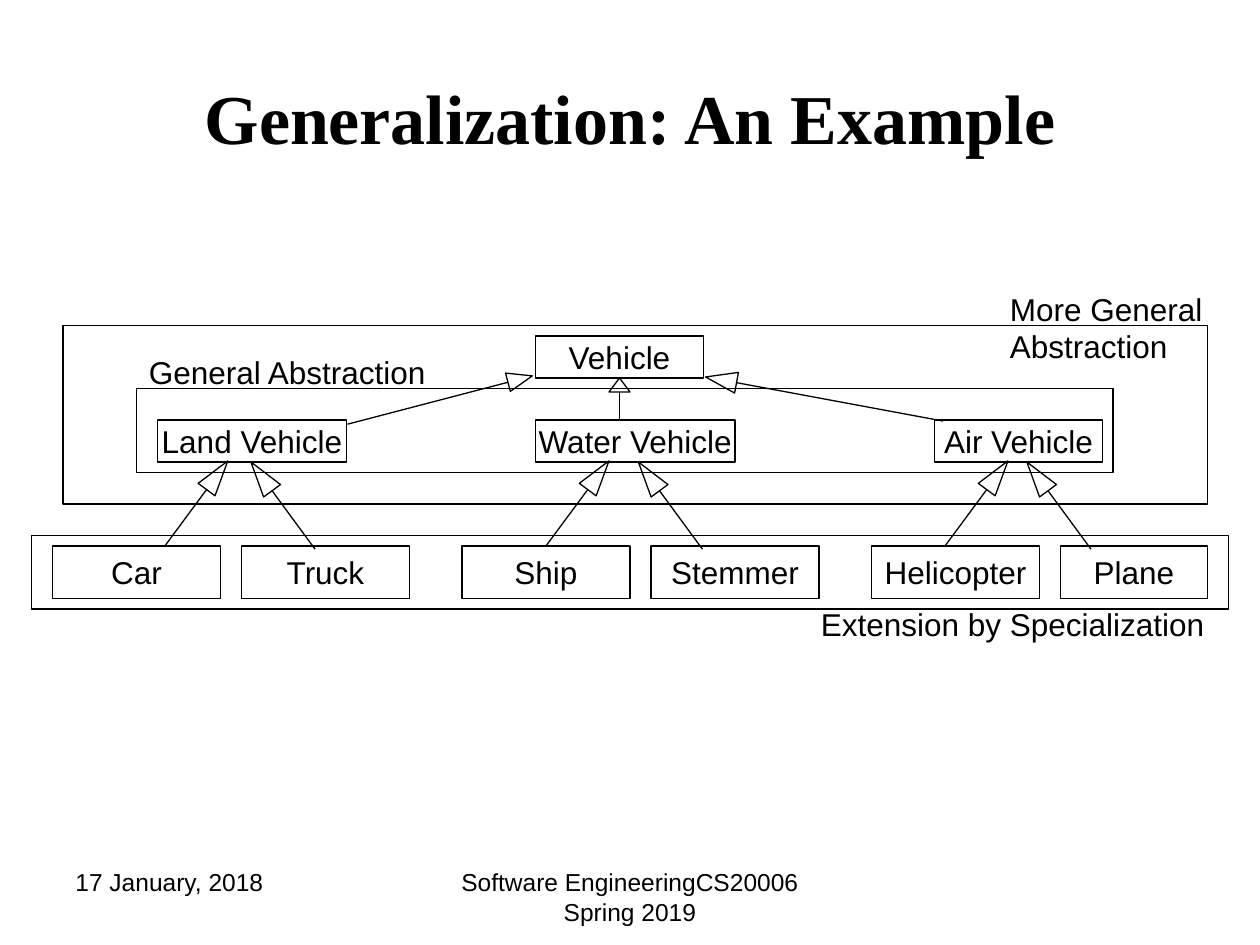
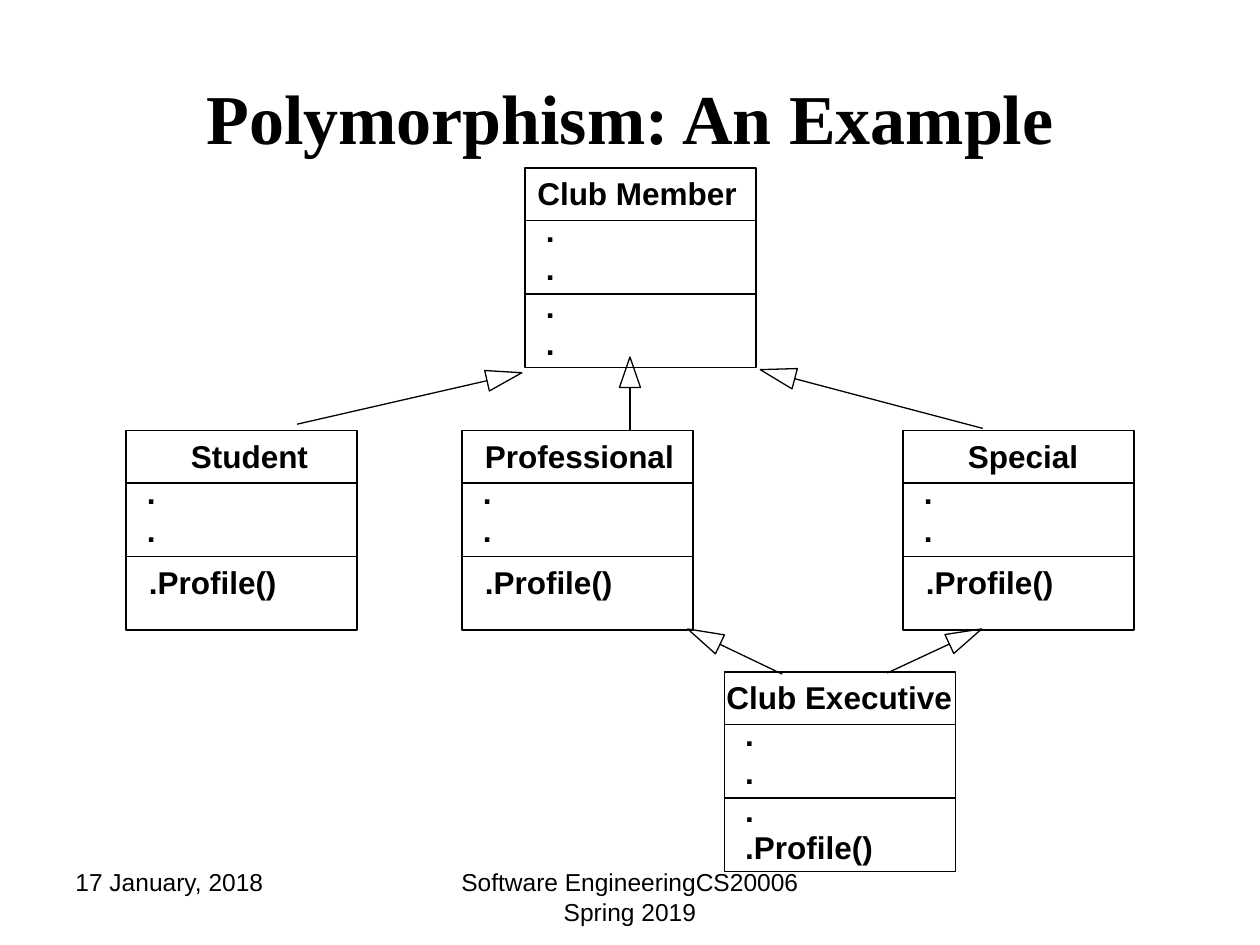
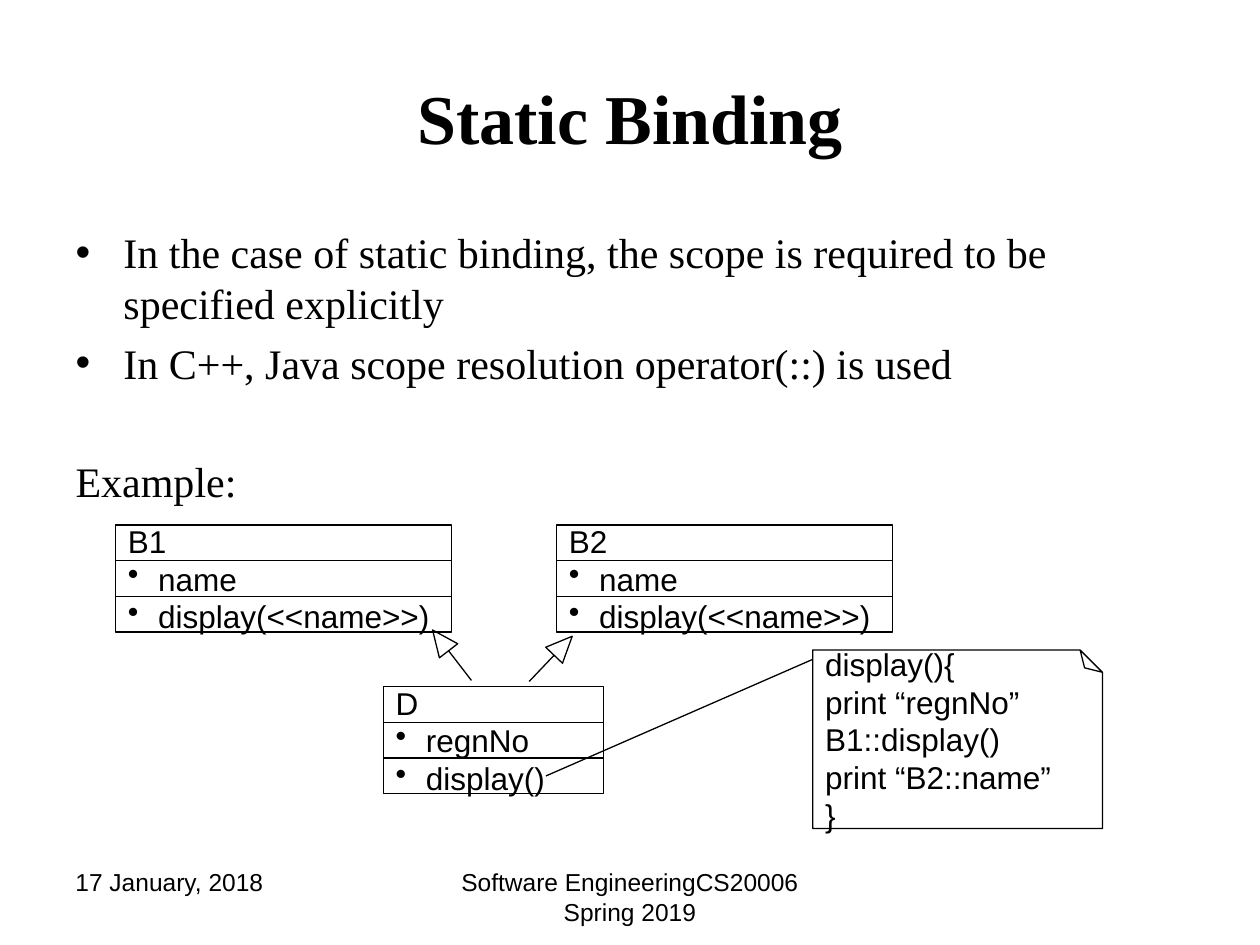
import math

from lxml import etree
from pptx import Presentation
from pptx import util as u
from pptx.dml.color import RGBColor
from pptx.enum import shapes, text
from pptx.oxml.ns import qn

COLUMNS, ROWS = 120, 90
CELL = u.Inches(10) / COLUMNS
COLORS = {"ink": "000000", "paper": "FFFFFF"}
STYLES = {
    "title": {"name": "Times New Roman", "size": u.Pt(40), "bold": True},
    "body": {"name": "Times New Roman", "size": u.Pt(24), "bold": False},
    "label": {"name": "Arial", "size": u.Pt(18), "bold": False},
    "class": {"name": "Arial", "size": u.Pt(18), "bold": True},
    "footer": {"name": "Arial", "size": u.Pt(14), "bold": False},
}
FOOTERS = [
    ("17 January, 2018", (6, 82, 28, 6.2), text.PP_ALIGN.LEFT),
    ("Software EngineeringCS20006 Spring 2019", (41, 82, 38, 6.2), text.PP_ALIGN.CENTER),
]
BULLET_INDENT = 0.24


def cells(*lengths):
    """Convert grid cells to slide lengths."""
    return [u.Emu(round(length * CELL)) for length in lengths]


def ink():
    """Return the colour of lines and text."""
    return RGBColor.from_string(COLORS["ink"])


def write(frame, lines, style, align=text.PP_ALIGN.LEFT, wrap=True, anchor=text.MSO_ANCHOR.TOP):
    """Write one paragraph per line in a named style."""
    settings = {"auto_size": text.MSO_AUTO_SIZE.NONE, "word_wrap": wrap, "vertical_anchor": anchor}
    for key, value in settings.items():
        setattr(frame, key, value)
    for index, line in enumerate(lines):
        paragraph = frame.add_paragraph() if index else frame.paragraphs[0]
        paragraph.alignment = align
        run = paragraph.add_run()
        run.text = line
        run.font.color.rgb = ink()
        for key, value in STYLES[style].items():
            setattr(run.font, key, value)
    return frame.paragraphs


def set_bullet(paragraph, indent, symbol="•"):
    """Give a paragraph a hanging indent and a bullet, or no bullet."""
    properties = paragraph._p.get_or_add_pPr()
    properties.set("marL", str(u.Inches(indent)))
    properties.set("indent", str(-u.Inches(indent)))
    if symbol:
        etree.SubElement(properties, qn("a:buChar")).set("char", symbol)
    else:
        etree.SubElement(properties, qn("a:buNone"))


def add_label(slide, box, lines, style="label", align=text.PP_ALIGN.LEFT, wrap=False):
    """Add a text box."""
    label = slide.shapes.add_textbox(*cells(*box))
    write(label.text_frame, lines, style, align, wrap)


def add_outline(slide, box, kind=shapes.MSO_SHAPE.RECTANGLE):
    """Add an unfilled shape with a thin outline."""
    shape = slide.shapes.add_shape(kind, *cells(*box))
    shape.shadow.inherit = False
    shape.fill.background()
    shape.line.color.rgb = ink()
    shape.line.width = u.Pt(0.75)
    return shape


def add_node(slide, box, name):
    """Add a box with a centred name."""
    shape = add_outline(slide, box)
    write(shape.text_frame, [name], "label", text.PP_ALIGN.CENTER, False, text.MSO_ANCHOR.MIDDLE)


def add_line(slide, start, end):
    """Add a thin straight line."""
    line = slide.shapes.add_connector(shapes.MSO_CONNECTOR.STRAIGHT, *cells(*start, *end))
    line.line.color.rgb = ink()
    line.line.width = u.Pt(0.75)
    etree.SubElement(line.element.spPr, qn("a:effectLst"))


def add_generalization(slide, tail, tip, length=3.4, width=2):
    """Add a line from tail to tip that ends in a hollow triangle."""
    across, down = tip[0] - tail[0], tip[1] - tail[1]
    distance = math.hypot(across, down)
    across, down = across / distance, down / distance
    center = tip[0] - across * length / 2, tip[1] - down * length / 2
    box = center[0] - width / 2, center[1] - length / 2, width, length
    head = add_outline(slide, box, shapes.MSO_SHAPE.FLOWCHART_EXTRACT)
    head.rotation = math.degrees(math.atan2(across, -down)) % 360
    add_line(slide, tail, (tip[0] - across * length, tip[1] - down * length))


def add_class_frame(slide, box, dividers):
    """Add a class outline with lines between its compartments."""
    left, top, width, _ = box
    frame = add_outline(slide, box)
    for divider in dividers:
        add_line(slide, (left, top + divider), (left + width, top + divider))
    return frame


def add_member_class(slide, left, top, name, name_shift, name_width, members, operation=None):
    """Add a class with its name, members and an optional separate operation."""
    add_class_frame(slide, (left, top, 22, 19), (5, 12))
    add_label(slide, (left + name_shift, top, name_width, 4.8), [name], "class")
    width = 14.6 if members[-1] != "." else 3.2
    add_label(slide, (left + 0.8, top + 3.5, width, 1.2 + 3.6 * len(members)), members, "class")
    if operation:
        add_label(slide, (left + 1, top + 12, 14.6, 4.8), [operation], "class")


def add_listed_class(slide, box, name, members):
    """Add a class whose members are bullets in equal compartments."""
    row = box[3] / 3
    frame = add_class_frame(slide, box, (row, 2 * row))
    lines = write(frame.text_frame, [name, *members], "label", anchor=text.MSO_ANCHOR.MIDDLE)
    for paragraph in lines[1:]:
        set_bullet(paragraph, BULLET_INDENT)


def add_note(slide, box, lines):
    """Add a note with its folded corner at the upper right."""
    note = add_outline(slide, box, shapes.MSO_SHAPE.FOLDED_CORNER)
    fold = etree.SubElement(note.element.spPr.prstGeom.get_or_add_avLst(), qn("a:gd"))
    fold.set("name", "adj")
    fold.set("fmla", "val 12500")
    note.rotation = 270
    write(note.text_frame, lines, "label", wrap=False, anchor=text.MSO_ANCHOR.MIDDLE)
    note.element.txBody.bodyPr.set("vert", "eaVert")


def place(shape, box):
    """Move a placeholder to a box of the grid."""
    for key, value in zip(("left", "top", "width", "height"), cells(*box)):
        setattr(shape, key, value)


def add_slide(presentation, title, layout="Title Only"):
    """Add a slide with the shared title and footers."""
    slide = presentation.slides.add_slide(presentation.slide_layouts.get_by_name(layout))
    slide.background.fill.solid()
    slide.background.fill.fore_color.rgb = RGBColor.from_string(COLORS["paper"])
    place(slide.shapes.title, (6, 3.6, 108, 15))
    write(slide.shapes.title.text_frame, [title], "title", text.PP_ALIGN.CENTER,
          anchor=text.MSO_ANCHOR.MIDDLE)
    for line, box, align in FOOTERS:
        add_label(slide, box, [line], "footer", align, True)
    return slide


def add_generalization_slide(presentation):
    """Build the vehicle hierarchy."""
    slide = add_slide(presentation, "Generalization: An Example")
    for box in ((6, 31, 109, 17), (13, 37, 93, 8), (3, 51, 114, 7)):
        add_outline(slide, box)
    add_node(slide, (51, 32, 16, 4), "Vehicle")
    for name, left, width in (("Land Vehicle", 15, 18), ("Water Vehicle", 51, 19),
                              ("Air Vehicle", 89, 16)):
        add_node(slide, (left, 40, width, 4), name)
    for name, left, width in (("Car", 5, 16), ("Truck", 23, 16), ("Ship", 44, 16),
                              ("Stemmer", 62, 16), ("Helicopter", 83, 16), ("Plane", 101, 14)):
        add_node(slide, (left, 52, width, 5), name)
    for left_tip, right_tip in ((21.7, 23.9), (58, 60.8), (96, 97.8)):
        add_generalization(slide, (left_tip - 6, 52), (left_tip, 43.9))
        add_generalization(slide, (right_tip + 6.1, 52.3), (right_tip, 44))
    add_generalization(slide, (33.1, 40.4), (50.7, 35.8), 2.4, 1.8)
    add_generalization(slide, (59, 40), (59, 36), 1.33)
    add_generalization(slide, (89.8, 40.1), (67.2, 35.9), 3)
    add_label(slide, (77, 57, 38.9, 4.8), ["Extension by Specialization"])
    add_label(slide, (13, 33, 28.9, 4.8), ["General Abstraction"])
    add_label(slide, (95, 27, 22, 8.4), ["More General Abstraction"], wrap=True)


def add_polymorphism_slide(presentation):
    """Build the membership classes."""
    slide = add_slide(presentation, "Polymorphism: An Example")
    add_member_class(slide, 50, 16, "Club Member", 0, 21.6, ["."] * 4)
    add_member_class(slide, 69, 64, "Club Executive", -1, 24.1, [".", ".", ".", ".Profile()"])
    for left, name, shift, width in ((12, "Student", 5, 13.6), (44, "Professional", 1, 20.4),
                                     (86, "Special", 5, 13)):
        add_member_class(slide, left, 41, name, shift, width, [".", "."], ".Profile()")
    for tail, tip in (((28.3, 40.4), (49.7, 35.5)), ((60, 41), (60, 34)),
                      ((93.6, 40.8), (72.4, 35.2)), ((74.5, 64.2), (65.5, 59.9)),
                      ((84.5, 64.1), (93.5, 59.9))):
        add_generalization(slide, tail, tip, 2.9 if tail[0] == tip[0] else 3.4)


def add_binding_slide(presentation):
    """Build the static binding rules and their class example."""
    slide = add_slide(presentation, "Static Binding", "Title and Content")
    body = slide.placeholders[1]
    place(body, (6, 21, 108, 59.4))
    paragraphs = write(body.text_frame, [
        "In the case of static binding, the scope is required to be specified explicitly",
        "In C++, Java scope resolution operator(::) is used",
        "Example:",
    ], "body")
    for paragraph, space, symbol in zip(paragraphs, (5.5, 5.5, 38.5), ("•", "•", None)):
        paragraph.space_before = u.Pt(space)
        set_bullet(paragraph, 0.38, symbol)
    for name, left in (("B1", 11), ("B2", 53)):
        add_listed_class(slide, (left, 50, 32, 10.2), name, ["name", "display(<<name>>)"])
    add_listed_class(slide, (36.5, 65.4, 21, 10.2), "D", ["regnNo", "display()"])
    add_note(slide, (82.7, 56.6, 17, 27.6),
             ["display(){", "print “regnNo”", "B1::display()", "print “B2::name”", "}"])
    for tail, tip in (((50.4, 64.9), (54.5, 60.6)), ((44.9, 64.8), (41.2, 60))):
        add_generalization(slide, tail, tip, 2.5, 2.2)
    add_line(slide, (52, 73.9), (77.4, 62.8))


def main():
    """Build and save the presentation."""
    presentation = Presentation()
    presentation.slide_width, presentation.slide_height = cells(COLUMNS, ROWS)
    add_generalization_slide(presentation)
    add_polymorphism_slide(presentation)
    add_binding_slide(presentation)
    presentation.save("out.pptx")


if __name__ == "__main__":
    main()
